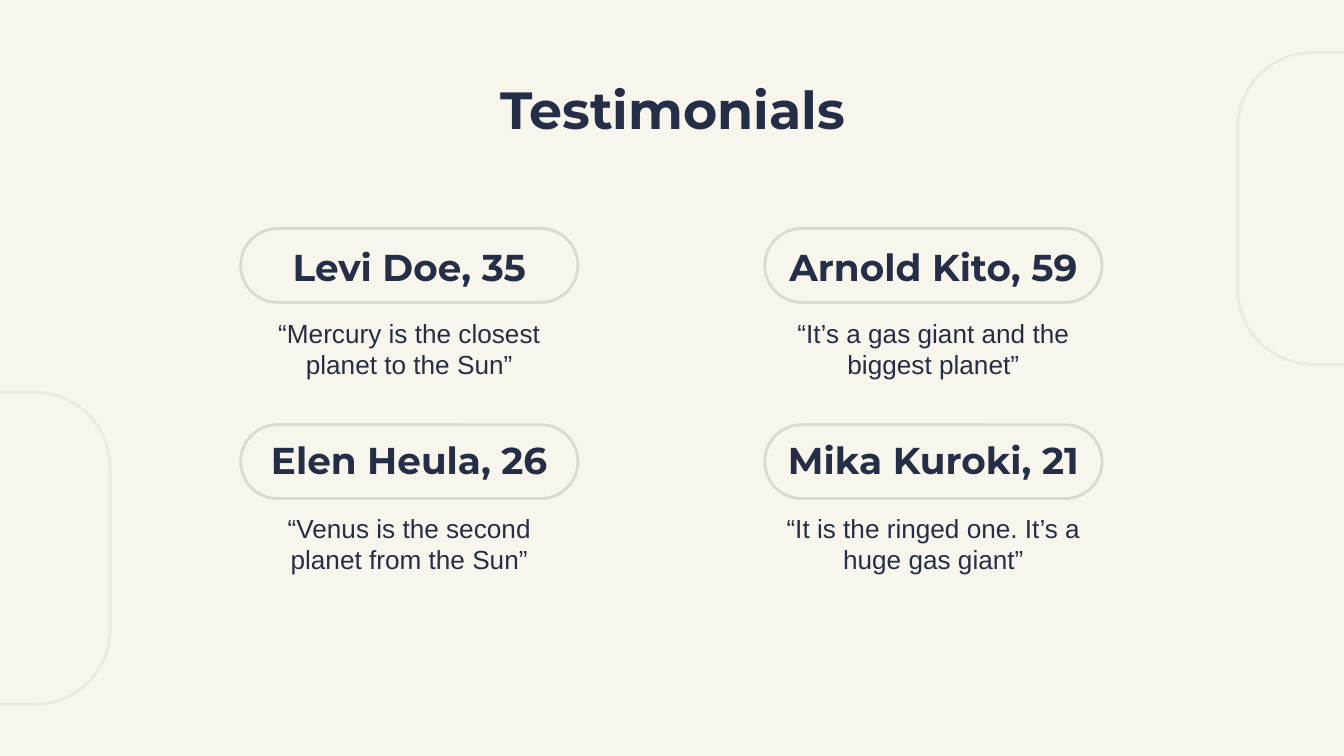
from pptx import Presentation
from pptx.dml.color import RGBColor
from pptx.enum.shapes import MSO_SHAPE as Shape
from pptx.enum.text import MSO_ANCHOR as Anchor, PP_ALIGN as Align
from pptx.util import Inches, Pt

CREAM = RGBColor(0xF8, 0xF5, 0xEC)
NAVY = RGBColor(0x25, 0x2E, 0x47)
PILL_LINE = RGBColor(0xDA, 0xDA, 0xCE)
FRAME_LINE = RGBColor(0xEC, 0xE9, 0xE1)

COLUMN_WIDTH = 2.51
COLUMNS = (1.79, 5.69)
ROWS = (  # tops of pill, name and quote
    (1.70, 1.69, 2.26),
    (3.16, 3.13, 3.71),
)
TESTIMONIALS = (
    (("Levi Doe, 35", "“Mercury is the closest planet to the Sun”"),
     ("Arnold Kito, 59", "“It’s a gas giant and the biggest planet”")),
    (("Elen Heula, 26", "“Venus is the second planet from the Sun”"),
     ("Mika Kuroki, 21", "“It is the ringed one. It’s a huge gas giant”")),
)

prs = Presentation()
prs.slide_width = Inches(10)
prs.slide_height = Inches(10 * 9 / 16)
slide = prs.slides.add_slide(prs.slide_layouts[6])
slide.background.fill.solid()
slide.background.fill.fore_color.rgb = CREAM


def add_outline(left, top, width, height, rounding, color):
    outline = slide.shapes.add_shape(
        Shape.ROUNDED_RECTANGLE,
        Inches(left), Inches(top), Inches(width), Inches(height))
    outline.adjustments[0] = rounding
    outline.shadow.inherit = False
    outline.fill.background()
    outline.line.color.rgb = color
    outline.line.width = Pt(1.5)


def add_text(text, left, top, width, height, size,
             font="Montserrat", bold=True, anchor=Anchor.MIDDLE):
    box = slide.shapes.add_textbox(
        Inches(left), Inches(top), Inches(width), Inches(height))
    frame = box.text_frame
    frame.word_wrap = True
    frame.vertical_anchor = anchor
    frame.margin_left = frame.margin_right = Inches(0.1)
    frame.margin_top = frame.margin_bottom = Inches(0.1)
    paragraph = frame.paragraphs[0]
    paragraph.text = text
    paragraph.alignment = Align.CENTER
    paragraph.font.name = font
    paragraph.font.size = Pt(size)
    paragraph.font.bold = bold
    paragraph.font.color.rgb = NAVY


# Frames running off the slide's edges
for left, top in ((9.21, 0.39), (-1.04, 2.92)):
    add_outline(left, top, 1.86, 2.32, 0.3, FRAME_LINE)

add_text("Testimonials", 0.79, 0.49, 8.43, 0.63, 28)

for (pill_top, name_top, quote_top), people in zip(ROWS, TESTIMONIALS):
    for left, (name, quote) in zip(COLUMNS, people):
        add_outline(left, pill_top, COLUMN_WIDTH, 0.55, 0.5, PILL_LINE)
        add_text(name, left, name_top, COLUMN_WIDTH, 0.58, 20)
        add_text(quote, left, quote_top, COLUMN_WIDTH, 0.63, 14,
                 font="Arial", bold=False, anchor=Anchor.TOP)

prs.save("out.pptx")
